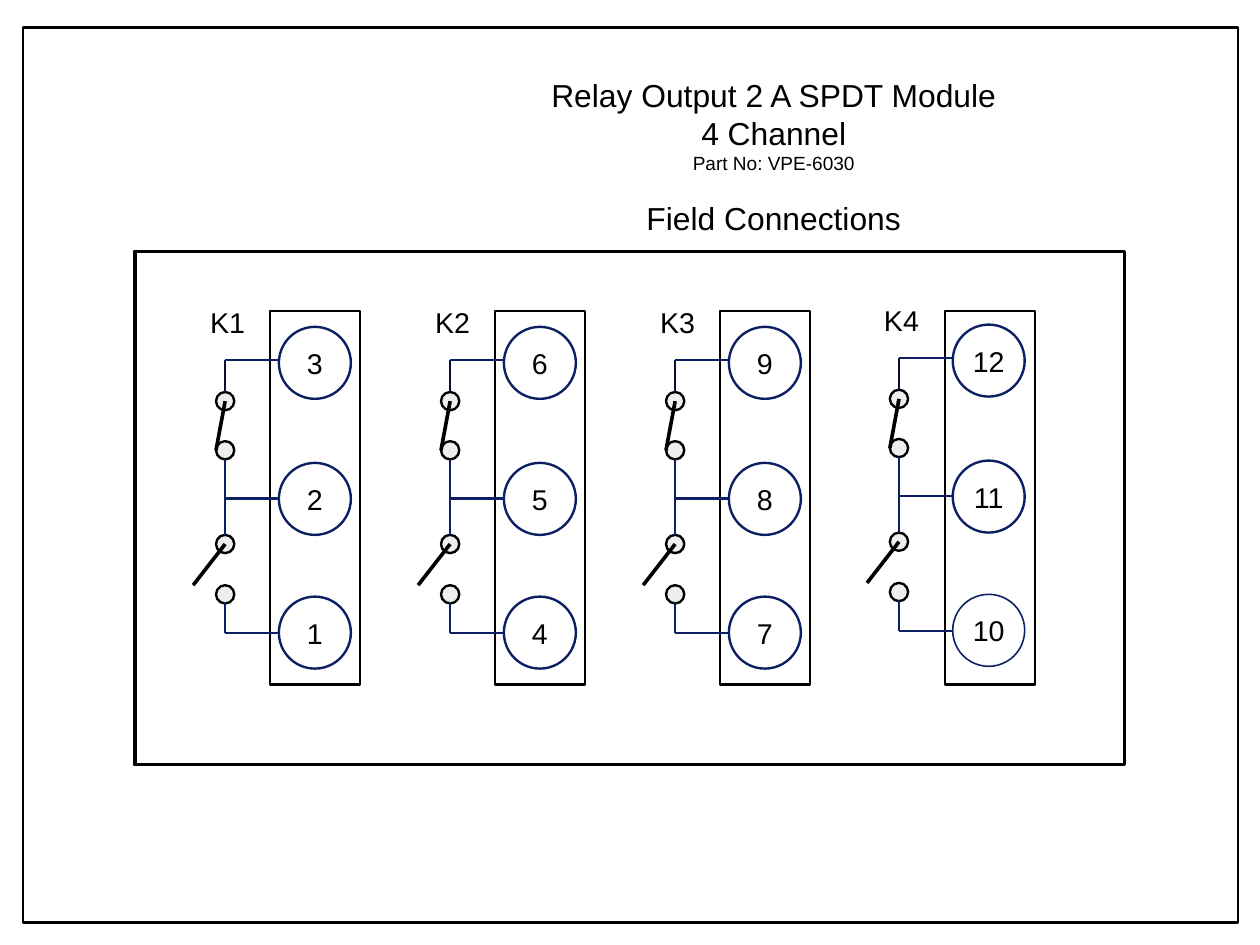
import pptx
import pptx.dml.color
import pptx.enum.shapes
import pptx.enum.text
import pptx.util
import lxml.etree

Inches = pptx.util.Inches
Pt = pptx.util.Pt
Shape = pptx.enum.shapes.MSO_SHAPE
Align = pptx.enum.text.PP_ALIGN
Anchor = pptx.enum.text.MSO_ANCHOR
Fit = pptx.enum.text.MSO_AUTO_SIZE

theme = {
    "font": "Arial",
    "black": pptx.dml.color.RGBColor.from_string("000000"),
    "navy": pptx.dml.color.RGBColor.from_string("0D1F63"),
    "dark_navy": pptx.dml.color.RGBColor.from_string("071136"),
    "contact": pptx.dml.color.RGBColor.from_string("EEEEEE"),
    "heading": 20,
    "label": 18,
    "part": 12,
    "thin": 1,
    "normal": 1.5,
    "heavy": 2.3,
}

deck = pptx.Presentation()
deck.slide_width = Inches(28 / 2.54)
deck.slide_height = Inches(21 / 2.54)
page = deck.slides.add_slide(deck.slide_layouts[5])


def draw(kind, left, top, width, height, line="black", weight="normal", fill=None):
    shape = page.shapes.add_shape(
        kind, Inches(left), Inches(top), Inches(width), Inches(height)
    )
    shape.shadow.inherit = False
    if fill:
        shape.fill.solid()
        shape.fill.fore_color.rgb = theme[fill]
    else:
        shape.fill.background()
    shape.line.color.rgb = theme[line]
    shape.line.width = Pt(theme[weight])
    return shape


def connect(start_x, start_y, end_x, end_y, line="navy", weight="normal"):
    connector = page.shapes.add_connector(
        pptx.enum.shapes.MSO_CONNECTOR.STRAIGHT,
        Inches(start_x), Inches(start_y), Inches(end_x), Inches(end_y),
    )
    connector.line.color.rgb = theme[line]
    connector.line.width = Pt(theme[weight])
    properties = connector._element.spPr
    lxml.etree.SubElement(properties, pptx.oxml.ns.qn("a:effectLst"))


texts = []

title = page.shapes.title
title_place = {"left": 3.62, "top": 0.61, "width": 6.3, "height": 1.56}
for name, value in title_place.items():
    setattr(title, name, Inches(value))
title_format = {
    "auto_size": Fit.NONE, "word_wrap": True, "vertical_anchor": Anchor.TOP,
}
for name, value in title_format.items():
    setattr(title.text_frame, name, value)
heading_lines = [
    ("Relay Output 2 A SPDT Module", "heading", 0),
    ("4 Channel", "heading", 0),
    ("Part No: VPE-6030", "part", 0),
    ("Field Connections", "heading", 15),
]
for index, (words, size, space) in enumerate(heading_lines):
    box = title.text_frame
    para = box.add_paragraph() if index else box.paragraphs[0]
    para.text = words
    para.alignment = Align.CENTER
    if space:
        para.space_before = Pt(space)
    texts.append((para, size))

draw(Shape.RECTANGLE, 0.2, 0.24, 10.63, 7.83)
draw(Shape.RECTANGLE, 1.18, 2.2, 8.66, 4.49, weight="heavy")

relay_pitch = 5 / 2.54
for relay in range(4):
    offset = relay * relay_pitch
    last = relay == 3
    shift_y = -0.02 if last else 0
    draw(Shape.RECTANGLE, 2.36 + offset, 2.72, 0.79, 3.27)

    if last:
        offset -= 0.01
    terminal_x = 2.44 + offset
    wire_x = 1.97 + offset

    for row, (circle_y, wire_y) in enumerate([(2.86, 3.15), (4.05, 4.36), (5.22, 5.54)]):
        number = 3 * relay + 3 - row
        weight = "thin" if number == 10 else "normal"
        terminal = draw(
            Shape.OVAL, terminal_x, circle_y + shift_y, 0.63, 0.63, "navy", weight
        )
        box = terminal.text_frame
        box_format = {
            "word_wrap": False, "vertical_anchor": Anchor.MIDDLE,
            "margin_left": Inches(0.11), "margin_right": Inches(0.11),
            "margin_top": Inches(0.06), "margin_bottom": Inches(0.06),
        }
        for name, value in box_format.items():
            setattr(box, name, value)
        para = box.paragraphs[0]
        para.text = str(number)
        para.alignment = Align.CENTER
        texts.append((para, "label"))
        connect(terminal_x, wire_y + shift_y, terminal_x - 0.24, wire_y + shift_y)
        connect(wire_x, wire_y + shift_y, terminal_x, wire_y + shift_y)

    for contact_y in (3.43, 3.86, 4.68, 5.12):
        draw(Shape.OVAL, 1.89 + offset, contact_y + shift_y, 0.16, 0.16, fill="contact")

    for start_y, end_y, reach in [(3.51, 3.94, 0.08), (4.76, 5.12, 0.28)]:
        connect(
            wire_x, start_y + shift_y, wire_x - reach, end_y + shift_y, "black", "heavy"
        )
    for start_y, end_y, color in [
        (3.43, 3.15, "dark_navy"), (4.02, 4.68, "navy"), (5.27, 5.54, "navy")
    ]:
        connect(wire_x, start_y + shift_y, wire_x, end_y + shift_y, color)

    label = page.shapes.add_textbox(
        Inches(1.74 + offset), Inches(2.62 + shift_y), Inches(0.52), Inches(0.38)
    )
    label.text_frame.word_wrap = False
    label.text_frame.auto_size = Fit.SHAPE_TO_FIT_TEXT
    para = label.text_frame.paragraphs[0]
    para.text = f"K{relay + 1}"
    texts.append((para, "label"))

for para, size in texts:
    for span in para.runs:
        for name, value in {"name": theme["font"], "size": Pt(theme[size])}.items():
            setattr(span.font, name, value)
        span.font.color.rgb = theme["black"]

deck.save("out.pptx")
